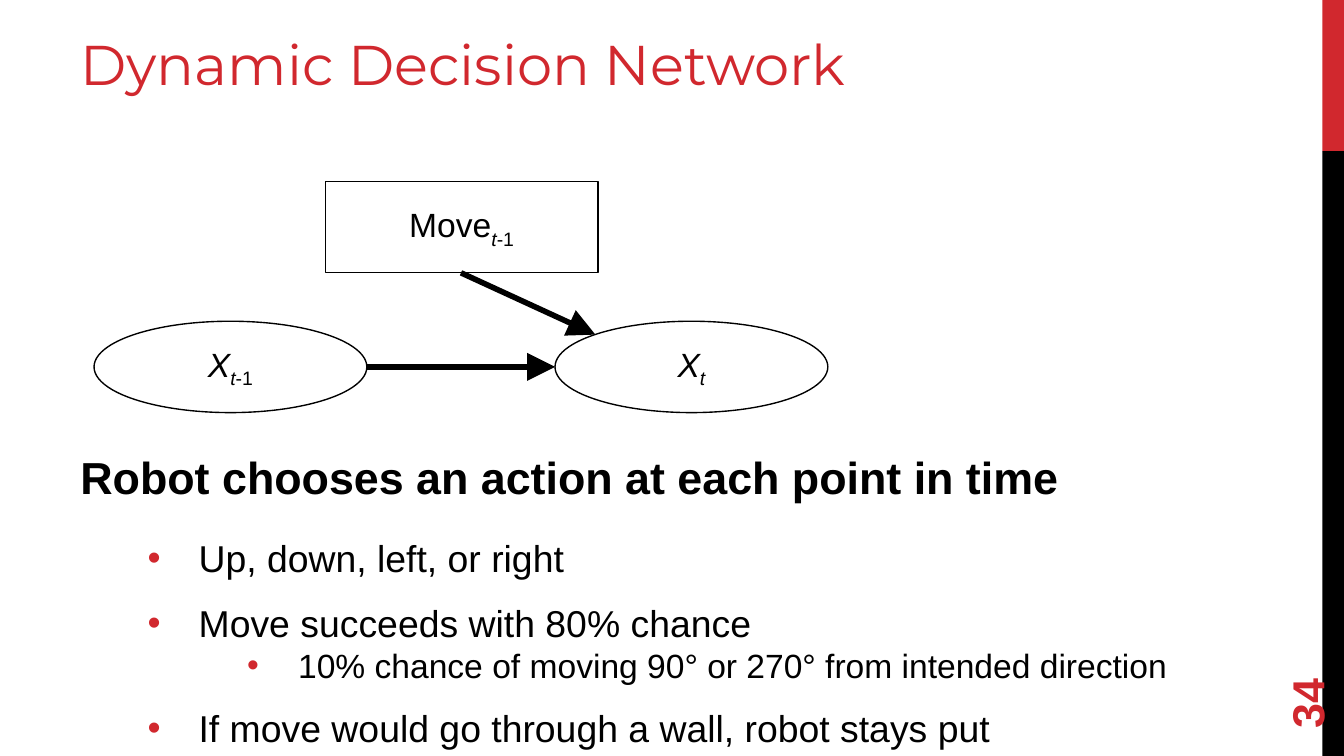
from typing import NamedTuple

from lxml import etree
from pptx import Presentation
from pptx import util as u
from pptx.dml.color import RGBColor
from pptx.enum import shapes, text
from pptx.oxml import ns

HUES = {"red": "D1282E", "black": "000000"}
SHAPE = shapes.MSO_SHAPE
MID = text.MSO_ANCHOR.MIDDLE


class Run(NamedTuple):
    words: str
    slant: bool = False
    sub: bool = False


class Node(NamedTuple):
    kind: int
    left: float
    top: float
    runs: tuple[Run, ...]


class Line(NamedTuple):
    words: str
    size: int
    bold: bool = False
    indent: float = 0
    before: float = 0
    after: float = 0


class Edge(NamedTuple):
    start: tuple[float, float]
    end: tuple[float, float]


PAGE_W = 10
PAGE_H = PAGE_W * 9 / 16
SPLIT = PAGE_H / 5
WIDE, HIGH = 2.03, 0.68
LAG = (Run("t", True, True), Run("-1", False, True))
NODES = (
    Node(SHAPE.OVAL, 0.7, 2.39, (Run("X", True), *LAG)),
    Node(SHAPE.OVAL, 4.13, 2.39, (Run("X", True), LAG[0])),
    Node(SHAPE.RECTANGLE, 2.42, 1.35, (Run("Move"), *LAG)),
)
EDGES = (
    Edge((2.73, 2.73), (4.13, 2.73)),
    Edge((3.43, 2.03), (4.43, 2.49)),
)
LINES = (
    Line("Robot chooses an action at each point in time", 24, True, after=6),
    Line("Up, down, left, or right", 20, indent=0.88, before=10.8),
    Line("Move succeeds with 80% chance", 20, indent=0.88, before=10.8),
    Line("10% chance of moving 90° or 270° from intended direction", 18, indent=1.62),
    Line("If move would go through a wall, robot stays put", 20, indent=0.88, before=10.8),
)


def hue(name: str) -> RGBColor:
    return RGBColor.from_string(HUES[name])


def style(font, size: int, name: str, face: str = "Arial", bold: bool = False) -> None:
    font.size = u.Pt(size)
    font.name = face
    font.bold = bold
    font.color.rgb = hue(name)


def add_box(slide, left: float, top: float, width: float, height: float, anchor):
    box = slide.shapes.add_textbox(*map(u.Inches, (left, top, width, height)))
    box.text_frame.word_wrap = True
    box.text_frame.vertical_anchor = anchor
    return box


def add_bar(slide, top: float, height: float, name: str) -> None:
    bar = slide.shapes.add_shape(
        SHAPE.RECTANGLE, *map(u.Inches, (9.84, top, 0.16, height)))
    bar.shadow.inherit = False
    bar.fill.solid()
    bar.fill.fore_color.rgb = hue(name)
    bar.line.fill.background()


def add_node(slide, node: Node) -> None:
    shape = slide.shapes.add_shape(
        node.kind, *map(u.Inches, (node.left, node.top, WIDE, HIGH)))
    shape.shadow.inherit = False
    shape.fill.background()
    shape.line.color.rgb = hue("black")
    shape.line.width = u.Pt(0.75)
    frame = shape.text_frame
    frame.vertical_anchor = MID
    para = frame.paragraphs[0]
    para.alignment = text.PP_ALIGN.CENTER
    style(para.font, 18, "black")
    for part in node.runs:
        run = para.add_run()
        run.text = part.words
        run.font.italic = part.slant
        if part.sub:
            run.font._element.set("baseline", "-25000")


def add_edge(slide, edge: Edge) -> None:
    link = slide.shapes.add_connector(
        shapes.MSO_CONNECTOR.STRAIGHT, *map(u.Inches, edge.start + edge.end))
    link.line.color.rgb = hue("black")
    link.line.width = u.Pt(3)
    etree.SubElement(link.line._get_or_add_ln(), ns.qn("a:tailEnd"),
                     type="triangle", w="lg", len="lg")
    etree.SubElement(link._element.spPr, ns.qn("a:effectLst"))


def add_dot(para, indent: float) -> None:
    props = para._p.get_or_add_pPr()
    props.set("marL", str(u.Inches(indent)))
    props.set("indent", str(u.Inches(-0.38)))
    tint = etree.SubElement(props, ns.qn("a:buClr"))
    etree.SubElement(tint, ns.qn("a:srgbClr"), val=HUES["red"])
    etree.SubElement(props, ns.qn("a:buFont"), typeface="Arial")
    etree.SubElement(props, ns.qn("a:buChar"), char="•")


def add_list(slide, lines: tuple[Line, ...]) -> None:
    frame = add_box(slide, 0.5, 3.3, 8.84, 2.3, text.MSO_ANCHOR.TOP).text_frame
    for at, line in enumerate(lines):
        para = frame.add_paragraph() if at else frame.paragraphs[0]
        para.text = line.words
        para.space_before = u.Pt(line.before)
        para.space_after = u.Pt(line.after)
        if line.indent:
            add_dot(para, line.indent)
        style(para.font, line.size, "black", bold=line.bold)


def main() -> None:
    deck = Presentation()
    deck.slide_width, deck.slide_height = u.Inches(PAGE_W), u.Inches(PAGE_H)
    slide = deck.slides.add_slide(deck.slide_layouts[6])
    add_bar(slide, 0, SPLIT, "red")
    add_bar(slide, SPLIT, PAGE_H - SPLIT, "black")

    title = add_box(slide, 0.5, 0.13, 8.84, 0.64, text.MSO_ANCHOR.BOTTOM)
    para = title.text_frame.paragraphs[0]
    para.text = "Dynamic Decision Network"
    style(para.font, 30, "red", "Montserrat")

    page = add_box(slide, 9.18, 4.78, 1.08, 0.4, MID)
    page.rotation = 270
    para = page.text_frame.paragraphs[0]
    para.text = "34"
    style(para.font, 24, "red", bold=True)

    for node in NODES:
        add_node(slide, node)
    for edge in EDGES:
        add_edge(slide, edge)
    add_list(slide, LINES)
    deck.save("out.pptx")


if __name__ == "__main__":
    main()
